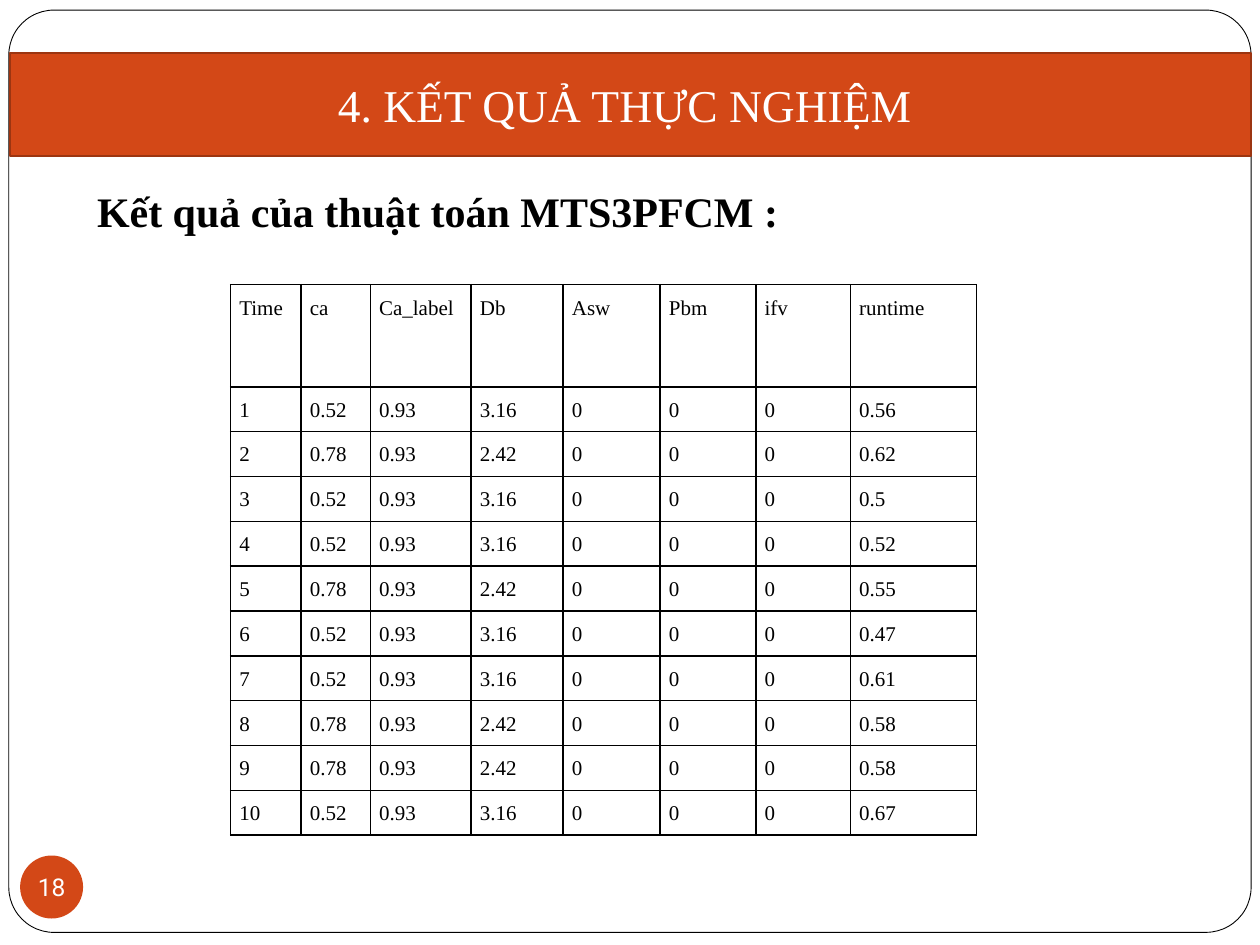
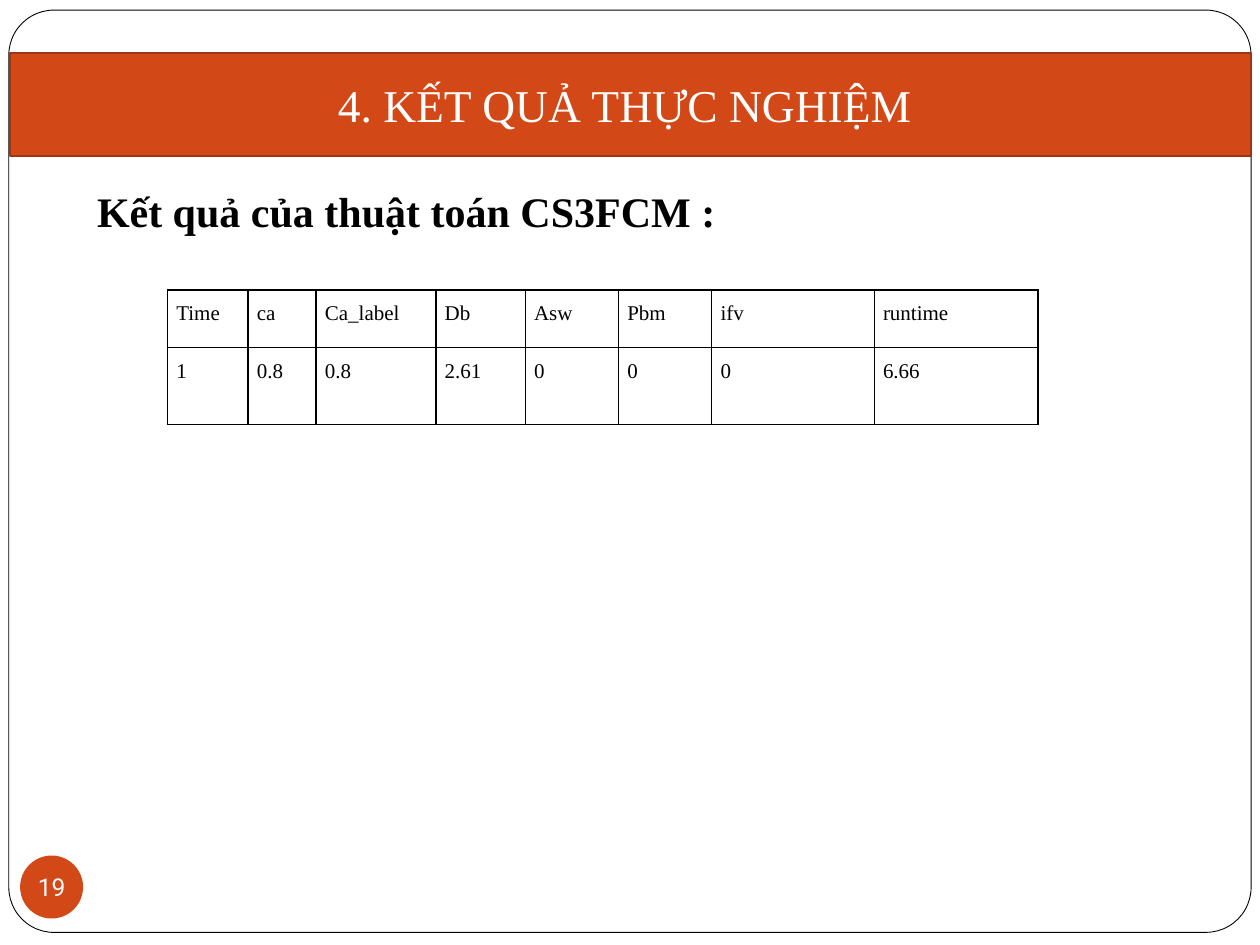
from dataclasses import dataclass

from lxml import etree
from pptx import Presentation
from pptx.dml.color import RGBColor
from pptx.enum.shapes import MSO_SHAPE
from pptx.enum.text import MSO_ANCHOR, MSO_AUTO_SIZE, PP_ALIGN
from pptx.oxml.ns import qn
from pptx.util import Inches, Pt

ROUNDED, OVAL = MSO_SHAPE.ROUNDED_RECTANGLE, MSO_SHAPE.OVAL
TOP, MIDDLE = MSO_ANCHOR.TOP, MSO_ANCHOR.MIDDLE
LEFT, CENTER, JUSTIFY = PP_ALIGN.LEFT, PP_ALIGN.CENTER, PP_ALIGN.JUSTIFY
NO_FIT = MSO_AUTO_SIZE.NONE

# The slide is a grid of 100 columns by 75 rows
SLIDE_COLS, SLIDE_ROWS = 100, 75


@dataclass(frozen=True)
class Theme:
    accent: str = "D34817"
    accent_edge: str = "9C3511"
    ink: str = "000000"
    paper: str = "FFFFFF"
    serif: str = "Times New Roman"
    sans: str = "Roboto"
    title: float = 26
    heading: float = 24
    number: float = 14
    table: float = 12


@dataclass(frozen=True)
class Box:
    left: float
    top: float
    width: float
    height: float


THEME = Theme()
FRAME = Box(0.7, 0.8, 98.6, 73.2)
BAND = Box(0.8, 4.2, 98.5, 8.2)
BODY = Box(6.7, 14.2, 88.3, 51.7)
BADGE = Box(1.6, 67.9, 5, 5)

TITLE = "4. KẾT QUẢ THỰC NGHIỆM "
HEADERS = ["Time", "ca", "Ca_label", "Db", "Asw", "Pbm", "ifv", "runtime"]
FIRST_NUMBER = 18

# Each result: ca, Ca_label, Db, runtime; Asw, Pbm and ifv are always 0
RESULTS = [
    {
        "heading": "Kết quả của thuật toán MTS3PFCM :",
        "box": Box(18.3, 22.6, 59.2, 43.7),
        "header_height": 8.1,
        "columns": [5.6, 5.5, 8, 7.3, 7.7, 7.6, 7.5, 10],
        "runs": [
            (0.52, 0.93, 3.16, 0.56),
            (0.78, 0.93, 2.42, 0.62),
            (0.52, 0.93, 3.16, 0.5),
            (0.52, 0.93, 3.16, 0.52),
            (0.78, 0.93, 2.42, 0.55),
            (0.52, 0.93, 3.16, 0.47),
            (0.52, 0.93, 3.16, 0.61),
            (0.78, 0.93, 2.42, 0.58),
            (0.78, 0.93, 2.42, 0.58),
            (0.52, 0.93, 3.16, 0.67),
        ],
    },
    {
        "heading": "Kết quả của thuật toán CS3FCM :",
        "box": Box(13.3, 23, 69.2, 10.7),
        "header_height": 4.6,
        "columns": [6.4, 5.4, 9.5, 7.1, 7.4, 7.4, 12.9, 13],
        "runs": [(0.8, 0.8, 2.61, 6.66)],
    },
]


def grid(units):
    return Inches(units / 10)


def place(box):
    return [grid(n) for n in (box.left, box.top, box.width, box.height)]


def move(shape, box):
    shape.left, shape.top, shape.width, shape.height = place(box)


def paint(shape, fill, line=None, width=1):
    shape.fill.solid()
    shape.fill.fore_color.rgb = RGBColor.from_string(fill)
    if line:
        shape.line.color.rgb = RGBColor.from_string(line)
        shape.line.width = Pt(width)
    else:
        shape.line.fill.background()


def write(text_frame, text, size, color, font=THEME.serif, align=LEFT, bold=False):
    text_frame.text = text
    paragraph = text_frame.paragraphs[0]
    paragraph.alignment = align
    paragraph.font.name = font
    paragraph.font.size = Pt(size)
    paragraph.font.bold = bold
    paragraph.font.color.rgb = RGBColor.from_string(color)
    return paragraph


def add_frame(slide, layout, box):
    """Draw the rounded page outline and hand it to the shared layout."""
    outline = slide.shapes.add_shape(ROUNDED, *place(box))
    outline.adjustments[0] = 0.049
    outline.shadow.inherit = False
    paint(outline, THEME.paper, THEME.ink, 0.5)
    outline._element.nvSpPr.cNvPr.set("id", "100")
    layout.shapes._spTree.insert(2, outline._element)


def fill_title(slide, box):
    band = slide.shapes.title
    move(band, box)
    paint(band, THEME.accent, THEME.accent_edge)
    band.text_frame.auto_size = NO_FIT
    band.text_frame.vertical_anchor = MIDDLE
    write(band.text_frame, TITLE, THEME.title, THEME.paper, align=CENTER)


def fill_heading(slide, box, text):
    body = slide.placeholders[1]
    move(body, box)
    body.text_frame.auto_size = NO_FIT
    body.text_frame.vertical_anchor = TOP
    heading = write(body.text_frame, text, THEME.heading, THEME.ink, bold=True)
    heading.space_before = Pt(5.8)
    # No bullet and no hanging indent
    properties = heading._p.get_or_add_pPr()
    properties.set("marL", "0")
    properties.set("indent", "0")
    bullet = etree.Element(qn("a:buNone"))
    properties.find(qn("a:spcBef")).addnext(bullet)


def add_badge(slide, box, number):
    badge = slide.shapes.add_shape(OVAL, *place(box))
    badge.shadow.inherit = False
    paint(badge, THEME.accent)
    label = badge.text_frame
    label.word_wrap = False
    label.vertical_anchor = MIDDLE
    label.margin_left = label.margin_right = label.margin_top = label.margin_bottom = 0
    write(label, str(number), THEME.number, THEME.paper, THEME.sans, CENTER)


def add_borders(cell):
    properties = cell._tc.get_or_add_tcPr()
    for position, side in enumerate(("lnL", "lnR", "lnT", "lnB")):
        border = etree.Element(qn(f"a:{side}"), w=str(Pt(1)))
        fill = etree.SubElement(border, qn("a:solidFill"))
        etree.SubElement(fill, qn("a:srgbClr"), val=THEME.ink)
        properties.insert(position, border)


def fill_cell(cell, text):
    cell.margin_left = cell.margin_right = grid(0.7)
    cell.margin_top = cell.margin_bottom = 0
    cell.vertical_anchor = TOP
    cell.fill.background()
    entry = write(cell.text_frame, text, THEME.table, THEME.ink, align=JUSTIFY)
    entry.line_spacing = 1.5
    entry.space_before = entry.space_after = Pt(2)
    add_borders(cell)


def add_results(slide, box, header_height, columns, runs):
    lines = [HEADERS] + [
        [time, ca, ca_label, db, 0, 0, 0, runtime]
        for time, (ca, ca_label, db, runtime) in enumerate(runs, start=1)
    ]
    table = slide.shapes.add_table(len(lines), len(HEADERS), *place(box)).table
    table.first_row = table.horz_banding = False
    for column, width in zip(table.columns, columns):
        column.width = grid(width)
    run_height = (box.height - header_height) / len(runs)
    for index, (row, line) in enumerate(zip(table.rows, lines)):
        row.height = grid(run_height if index else header_height)
        for cell, value in zip(row.cells, line):
            fill_cell(cell, str(value))


def add_result_slide(deck, layout, number, result):
    slide = deck.slides.add_slide(layout)
    if number == FIRST_NUMBER:
        add_frame(slide, layout, FRAME)
    fill_title(slide, BAND)
    fill_heading(slide, BODY, result["heading"])
    add_badge(slide, BADGE, number)
    add_results(slide, result["box"], result["header_height"],
                result["columns"], result["runs"])


def main():
    deck = Presentation()
    deck.slide_width, deck.slide_height = grid(SLIDE_COLS), grid(SLIDE_ROWS)
    layout = deck.slide_layouts[1]
    for number, result in enumerate(RESULTS, start=FIRST_NUMBER):
        add_result_slide(deck, layout, number, result)
    deck.save("out.pptx")


if __name__ == "__main__":
    main()
